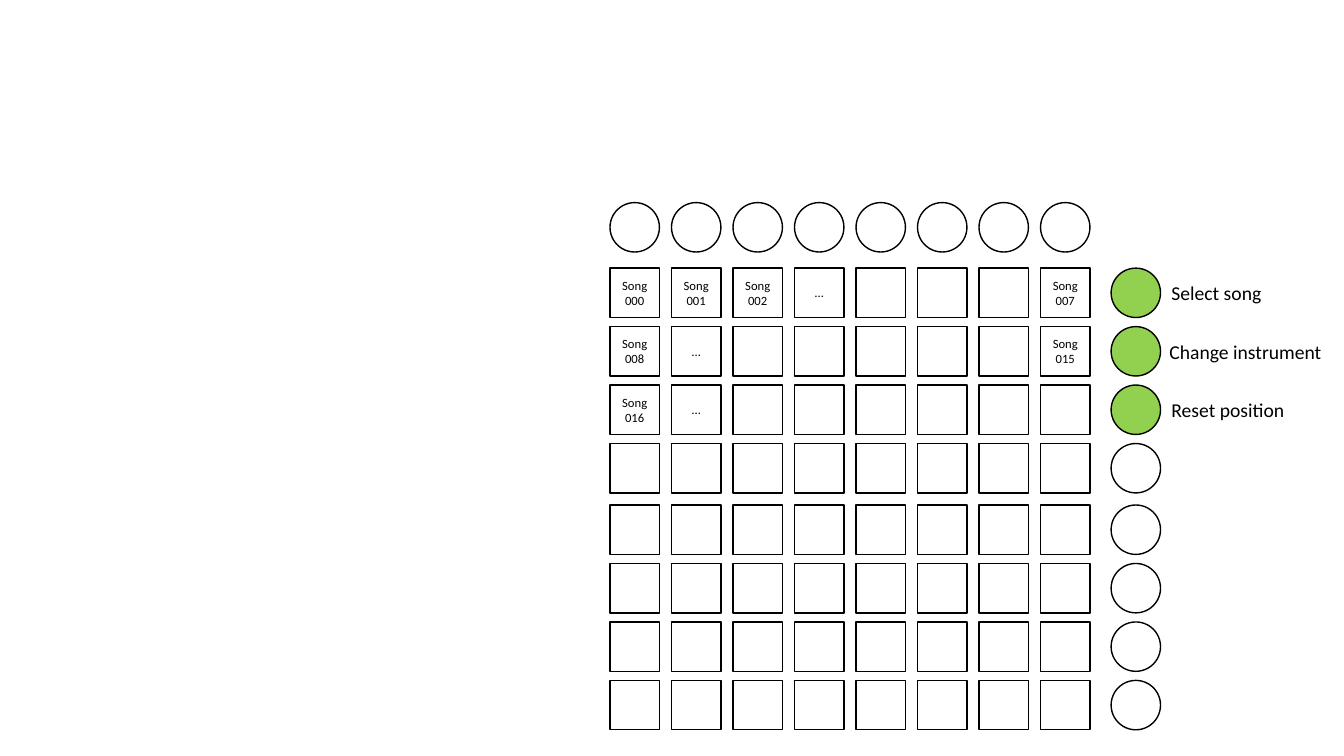
from copy import deepcopy
from dataclasses import dataclass

from pptx import Presentation
from pptx.dml.color import RGBColor
from pptx.enum.shapes import MSO_SHAPE
from pptx.enum.text import MSO_ANCHOR, MSO_AUTO_SIZE, PP_ALIGN
from pptx.oxml.ns import qn
from pptx.util import Inches, Pt


@dataclass(frozen=True)
class Theme:
    font: str = "Calibri"
    ink: RGBColor = RGBColor(0x00, 0x00, 0x00)
    active: RGBColor = RGBColor(0x92, 0xD0, 0x50)
    line: float = 1
    pad_size: float = 9
    label_size: float = 14


THEME = Theme()
SIDE = 0.49
GRID_LEFT, COL_STEP = 6.05, 0.61
GRID_TOP, ROW_STEP, HALF_GAP = 2.66, 0.58, 0.03
TOP_BUTTONS, SIDE_BUTTONS = 2.01, 11.02

PAD_TEXT = {
    (0, 0): "Song\n000", (0, 1): "Song\n001", (0, 2): "Song\n002",
    (0, 3): "…", (0, 7): "Song\n007",
    (1, 0): "Song\n008", (1, 1): "…", (1, 7): "Song\n015",
    (2, 0): "Song\n016", (2, 1): "…",
}
MODES = [("Select song", 11.52, 1.1),
         ("Change instrument", 11.5, 1.73),
         ("Reset position", 11.52, 1.34)]


def write(sp, text, *, size, align=PP_ALIGN.LEFT, anchor=MSO_ANCHOR.TOP):
    """Fill a shape with one paragraph; a newline becomes a line break."""
    tf = sp.text_frame
    tf.vertical_anchor = anchor
    p = tf.paragraphs[0]
    p.text = text
    p.alignment = align
    for r in p.runs:
        r.font.name = THEME.font
        r.font.size = Pt(size)
        r.font.color.rgb = THEME.ink
    # Line breaks carry their own size, so they take the run's format.
    for br in p._p.findall(qn("a:br")):
        br.append(deepcopy(p.runs[0]._r.rPr))
    return tf


def add_button(kind, left, top, fill=None):
    sp = controller.shapes.add_shape(
        kind, Inches(left), Inches(top), Inches(SIDE), Inches(SIDE))
    sp.shadow.inherit = False
    if fill is None:
        sp.fill.background()
    else:
        sp.fill.solid()
        sp.fill.fore_color.rgb = fill
    sp.line.color.rgb = THEME.ink
    sp.line.width = Pt(THEME.line)
    return sp


prs = Presentation()
prs.slide_width, prs.slide_height = Inches(13.33), Inches(7.5)
slide = prs.slides.add_slide(prs.slide_layouts[6])
controller = slide.shapes.add_group_shape()

col_lefts = [GRID_LEFT + COL_STEP * col for col in range(8)]
# The lower four rows sit slightly apart from the upper four.
row_tops = [GRID_TOP + ROW_STEP * row + HALF_GAP * (row // 4) for row in range(8)]

# Pads with a round button above each column
for col, left in enumerate(col_lefts):
    for row, top in enumerate(row_tops):
        sp = add_button(MSO_SHAPE.RECTANGLE, left, top)
        if (row, col) in PAD_TEXT:
            tf = write(sp, PAD_TEXT[row, col], size=THEME.pad_size,
                       align=PP_ALIGN.CENTER, anchor=MSO_ANCHOR.MIDDLE)
            tf.margin_left = tf.margin_right = 0
            tf.margin_top = tf.margin_bottom = 0
    add_button(MSO_SHAPE.OVAL, left, TOP_BUTTONS)

# Mode buttons beside the rows
for row, top in enumerate(row_tops):
    add_button(MSO_SHAPE.OVAL, SIDE_BUTTONS, top,
               THEME.active if row < len(MODES) else None)

# Mode labels
for (label, left, width), top in zip(MODES, row_tops):
    sp = controller.shapes.add_textbox(
        Inches(left), Inches(top + 0.08), Inches(width), Inches(0.34))
    tf = write(sp, label, size=THEME.label_size)
    tf.word_wrap = False
    tf.auto_size = MSO_AUTO_SIZE.SHAPE_TO_FIT_TEXT

prs.save("out.pptx")
